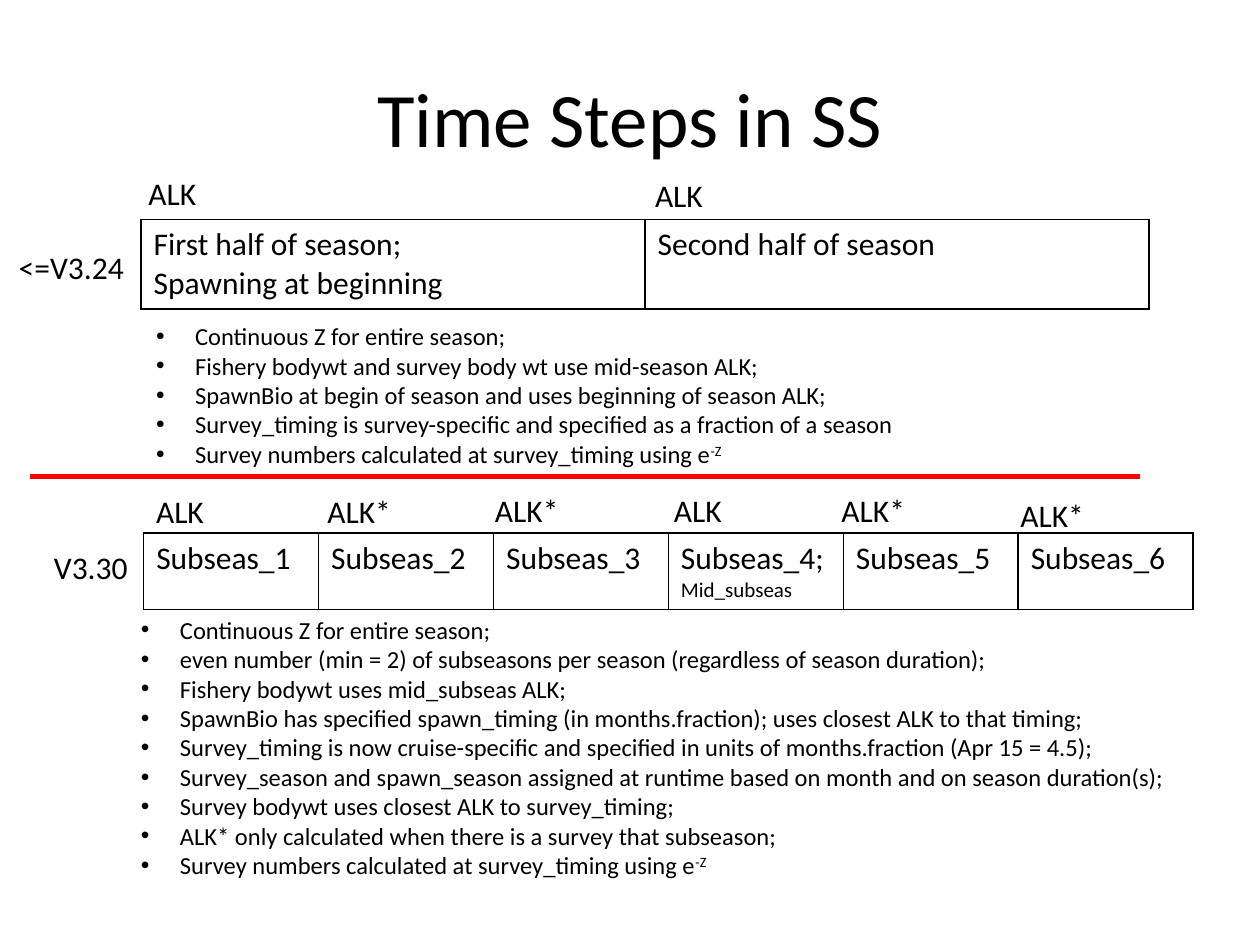
import pptx
import pptx.dml.color
import pptx.enum.shapes
import pptx.enum.text
import pptx.oxml
import pptx.oxml.ns
import pptx.util

BLACK = pptx.dml.color.RGBColor(0, 0, 0)
RED = pptx.dml.color.RGBColor(255, 0, 0)
FONT = "Calibri"
Inches = pptx.util.Inches
TITLE = "Time Steps in SS"
POWER = "-Z"
NUMBERS = "Survey numbers calculated at survey_timing using e"

# Each cell is a list of (text, size) lines
HALVES = [
    [("First half of season;", 18), ("Spawning at beginning", 18)],
    [("Second half of season", 18)],
]
SUBSEASONS = [[(f"Subseas_{number}", 18)] for number in range(1, 7)]
SUBSEASONS[3] = [("Subseas_4;", 18), ("Mid_subseas", 12)]

# left, top, width, row height, cells
TABLES = [
    (1.12, 1.74, 8, 0.67, HALVES),
    (1.14, 4.23, 8.33, 0.41, SUBSEASONS),
]

# text, left, top, width
LABELS = [
    ("ALK", 1.08, 1.33, 0.58),
    ("ALK", 5.1, 1.35, 0.58),
    ("<=V3.24", 0.05, 1.92, 1.09),
    ("ALK", 1.14, 3.86, 0.58),
    ("ALK*", 2.5, 3.86, 0.75),
    ("ALK*", 3.83, 3.85, 0.75),
    ("ALK", 5.25, 3.85, 0.58),
    ("ALK*", 6.58, 3.85, 0.75),
    ("ALK*", 8, 3.89, 0.75),
    ("V3.30", 0.33, 4.3, 0.83),
]

OLD_RULES = [
    "Continuous Z for entire season;",
    "Fishery bodywt and survey body wt use mid-season ALK;",
    "SpawnBio at begin of season and uses beginning of season ALK;",
    "Survey_timing is survey-specific and specified as a fraction of a season",
    NUMBERS,
]
NEW_RULES = [
    "Continuous Z for entire season;",
    "even number (min = 2) of subseasons per season (regardless of season duration);",
    "Fishery bodywt uses mid_subseas ALK;",
    "SpawnBio has specified spawn_timing (in months.fraction); uses closest ALK to that timing;",
    "Survey_timing is now cruise-specific and specified in units of months.fraction (Apr 15 = 4.5);",
    "Survey_season and spawn_season assigned at runtime based on month and on season duration(s);",
    "Survey bodywt uses closest ALK to survey_timing;",
    "ALK* only calculated when there is a survey that subseason;",
    NUMBERS,
]
# left, top, width, height, lines
BULLET_LISTS = [
    (1.14, 2.5, 7.92, 1.28, OLD_RULES),
    (1.02, 4.83, 8.75, 2.22, NEW_RULES),
]


def add_run(paragraph, text, size):
    """Add one black run and return it."""
    run = paragraph.add_run()
    run.text = text
    run.font.name = FONT
    run.font.size = pptx.util.Pt(size)
    run.font.color.rgb = BLACK
    return run


def paragraphs_for(frame, items):
    """Pair each item with a paragraph of the text frame."""
    for index, item in enumerate(items):
        yield (frame.add_paragraph() if index else frame.paragraphs[0]), item


def add_text_box(slide, left, top, width, height):
    """Add a wrapping text box and return its text frame."""
    box = slide.shapes.add_textbox(*map(Inches, (left, top, width, height)))
    box.text_frame.word_wrap = True
    return box.text_frame


def add_bullets(slide, left, top, width, height, lines):
    """Add a bulleted list, with the exponent after the survey numbers."""
    frame = add_text_box(slide, left, top, width, height)
    for paragraph, line in paragraphs_for(frame, lines):
        properties = paragraph._p.get_or_add_pPr()
        properties.set("marL", str(Inches(0.31)))
        properties.set("indent", str(-Inches(0.31)))
        namespace = pptx.oxml.ns.nsdecls("a")
        for tag in ('buFont %s typeface="Arial"', 'buChar %s char="\u2022"'):
            properties.append(pptx.oxml.parse_xml(f"<a:{tag % namespace}/>"))
        add_run(paragraph, line, 14)
        if line == NUMBERS:
            exponent = add_run(paragraph, POWER, 14)
            exponent.font._element.set("baseline", "30000")


def add_borders(cell):
    """Draw a thin black line on all four sides of a cell."""
    properties = cell._tc.get_or_add_tcPr()
    for index, side in enumerate(("lnL", "lnR", "lnT", "lnB")):
        properties.insert(index, pptx.oxml.parse_xml(
            f'<a:{side} {pptx.oxml.ns.nsdecls("a")} w="12700"><a:solidFill>'
            f'<a:srgbClr val="{BLACK}"/></a:solidFill></a:{side}>'))


def add_timeline(slide, left, top, width, height, cells):
    """Add a one-row table with equal columns."""
    table = slide.shapes.add_table(
        1, len(cells), *map(Inches, (left, top, width, height))).table
    table.first_row = False
    table.horz_banding = False
    for column, lines in enumerate(cells):
        table.columns[column].width = Inches(width / len(cells))
        cell = table.cell(0, column)
        cell.fill.background()
        add_borders(cell)
        for paragraph, (text, size) in paragraphs_for(cell.text_frame, lines):
            add_run(paragraph, text, size)


def add_divider(slide):
    """Draw the red line between the two versions."""
    line = slide.shapes.add_connector(
        pptx.enum.shapes.MSO_CONNECTOR.STRAIGHT,
        *map(Inches, (0.24, 3.78, 9.05, 3.78)))
    line.line.color.rgb = RED
    line.line.width = pptx.util.Pt(3)
    line._element.spPr.append(pptx.oxml.parse_xml(
        f'<a:effectLst {pptx.oxml.ns.nsdecls("a")}/>'))


def add_title(slide):
    """Place and format the title placeholder."""
    title = slide.shapes.title
    title.left, title.top, title.width, title.height = map(Inches, (0.5, 0.3, 9, 1.25))
    title.text_frame.vertical_anchor = pptx.enum.text.MSO_ANCHOR.MIDDLE
    paragraph = title.text_frame.paragraphs[0]
    paragraph.alignment = pptx.enum.text.PP_ALIGN.CENTER
    add_run(paragraph, TITLE, 44)


presentation = pptx.Presentation()
presentation.slide_width = Inches(10)
presentation.slide_height = Inches(7.5)
slide = presentation.slides.add_slide(presentation.slide_layouts[5])
add_title(slide)
for timeline in TABLES:
    add_timeline(slide, *timeline)
for text, left, top, width in LABELS:
    label = add_text_box(slide, left, top, width, 0.4)
    add_run(label.paragraphs[0], text, 18)
for bullet_list in BULLET_LISTS:
    add_bullets(slide, *bullet_list)
add_divider(slide)
presentation.save("out.pptx")
